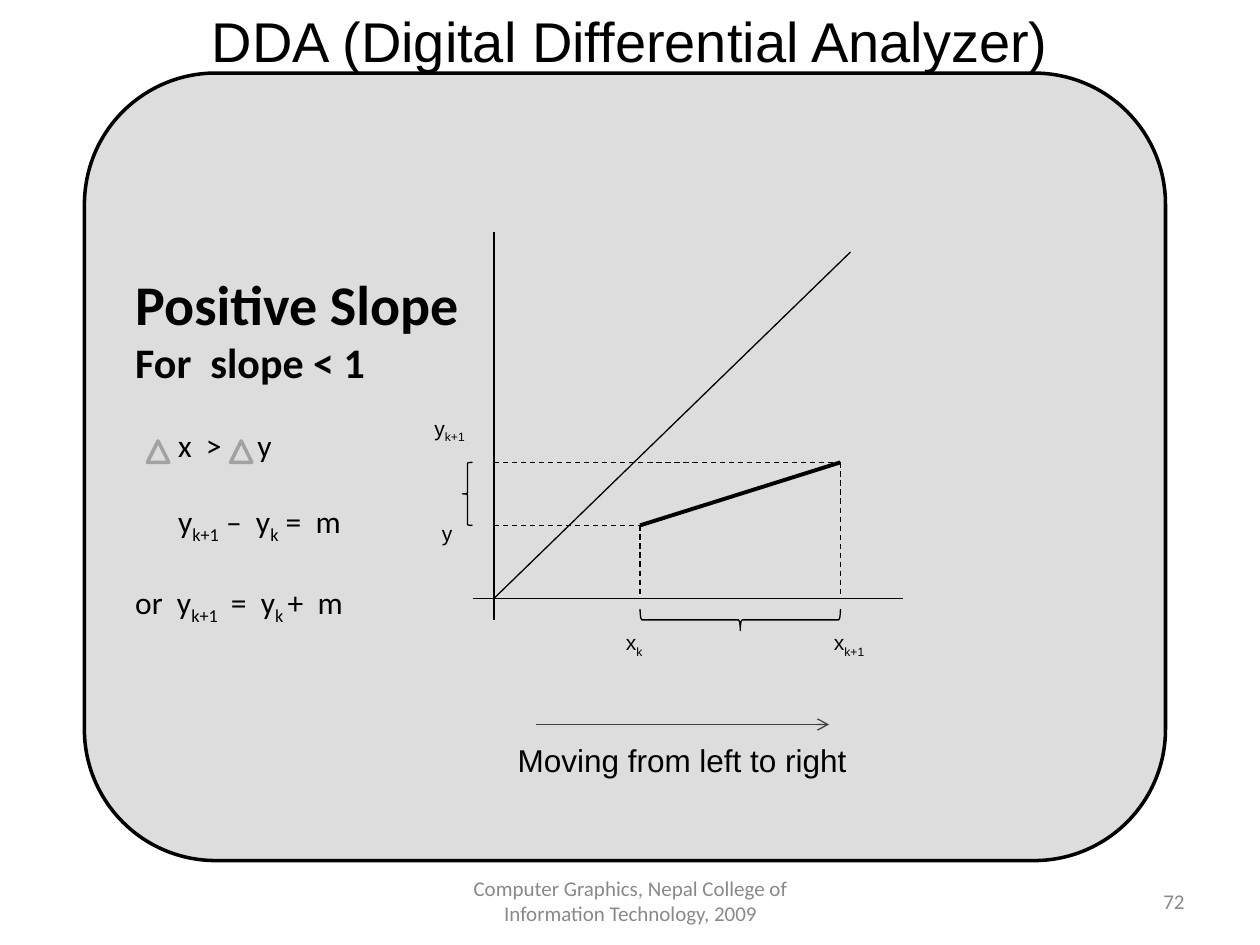
from lxml import etree
from pptx import Presentation
from pptx.dml.color import RGBColor
from pptx.enum import dml, shapes, text
from pptx.oxml import ns
from pptx.util import Inches, Pt

BLACK, PANEL, GREY, FOOTER = "000000", "DDDDDD", "A2A2A2", "898989"
LEFT, CENTER, RIGHT = text.PP_ALIGN.LEFT, text.PP_ALIGN.CENTER, text.PP_ALIGN.RIGHT


def rgb(value):
    return RGBColor.from_string(value)


def inches(*values):
    return [Inches(value) for value in values]


def write(paragraph, parts, size, font="Arial", color=BLACK, bold=False, align=LEFT):
    """Write parts that alternate between baseline and subscript."""
    paragraph.alignment = align
    for index, part in enumerate(parts):
        run = paragraph.add_run()
        run.text = part
        run.font.size, run.font.name, run.font.bold = Pt(size), font, bold
        run.font.color.rgb = rgb(color)
        if index % 2:
            run._r.get_or_add_rPr().set("baseline", "-25000")


def add_tabs(paragraph, stops):
    tabs = etree.SubElement(paragraph._p.get_or_add_pPr(), ns.qn("a:tabLst"))
    for stop in stops:
        etree.SubElement(tabs, ns.qn("a:tab"), pos=str(Inches(stop)), algn="l")


def add_label(slide, box, parts, size, wrap=False, anchor=text.MSO_ANCHOR.TOP, **style):
    frame = slide.shapes.add_textbox(*inches(*box)).text_frame
    frame.word_wrap, frame.vertical_anchor = wrap, anchor
    write(frame.paragraphs[0], parts, size, **style)


def add_shape(slide, kind, box, line, width, fill=None):
    shape = slide.shapes.add_shape(kind, *inches(*box))
    shape.shadow.inherit = False
    shape.line.color.rgb, shape.line.width = rgb(line), Pt(width)
    if fill:
        shape.fill.solid()
        shape.fill.fore_color.rgb = rgb(fill)
    else:
        shape.fill.background()
    return shape


def add_line(slide, start, end, color=BLACK, width=0.75, dashed=False, arrow=False):
    line = slide.shapes.add_connector(
        shapes.MSO_CONNECTOR.STRAIGHT, *inches(*start, *end))
    line.line.color.rgb, line.line.width = rgb(color), Pt(width)
    if dashed:
        line.line.dash_style = dml.MSO_LINE.DASH
    if arrow:
        etree.SubElement(line.line._get_or_add_ln(), ns.qn("a:tailEnd"), type="arrow")
    etree.SubElement(line._element.spPr, ns.qn("a:effectLst"))


def add_title(slide, box):
    title = slide.shapes.title
    title.left, title.top, title.width, title.height = inches(*box)
    frame = title.text_frame
    frame.word_wrap, frame.vertical_anchor = False, text.MSO_ANCHOR.TOP
    frame.auto_size = text.MSO_AUTO_SIZE.NONE
    write(frame.paragraphs[0], ["DDA (Digital Differential Analyzer)"], 32)
    # The title lies over the edge of the panel
    slide.shapes._spTree.append(title._element)


def add_panel(slide, box):
    panel = add_shape(slide, shapes.MSO_SHAPE.ROUNDED_RECTANGLE, box, BLACK, 2, PANEL)
    frame = panel.text_frame
    frame.word_wrap, frame.vertical_anchor = True, text.MSO_ANCHOR.MIDDLE
    frame.margin_bottom = Inches(0.35)
    # Parts, size, bold, space before, tab stops
    rows = [
        (["Positive Slope"], 32, True, 0, []),
        (["For  slope < 1"], 24, True, 0, []),
        (["\tx  >\ty"], 18, False, 22, [0.34, 0.97]),
        (["\ty", "k+1", " –  y", "k", " =  m"], 18, False, 22, [0.34]),
        (["or  y", "k+1", "\t=  y", "k ", "+  m"], 18, False, 22, [0.76]),
    ]
    for index, (parts, size, bold, before, stops) in enumerate(rows):
        paragraph = frame.add_paragraph() if index else frame.paragraphs[0]
        if before:
            paragraph.space_before = Pt(before)
        if stops:
            add_tabs(paragraph, stops)
        write(paragraph, parts, size, "Calibri", bold=bold)
    # Delta signs before x and y
    left, top = box[:2]
    for offset in (0.5, 1.16):
        add_shape(slide, shapes.MSO_SHAPE.ISOSCELES_TRIANGLE,
                  (left + offset, top + 2.92, 0.17, 0.17), GREY, 2, PANEL)


def add_graph(slide, box):
    left, top, width, height = box
    origin_x, origin_y = left + 0.17, top + height - 0.17
    x0, x1 = left + 1.33, left + 2.92
    y0, y1 = top + 2.33, top + 1.83

    # Axes and diagonal
    add_line(slide, (origin_x, top), (origin_x, top + height))
    add_line(slide, (left, origin_y), (left + width, origin_y))
    add_line(slide, (origin_x, origin_y), (left + 3, top + 0.16))

    # Segment with its projections
    add_line(slide, (x0, y0), (x1, y1), width=2.25)
    for x, y in ((x0, y0), (x1, y1)):
        add_line(slide, (x, y), (x, origin_y), dashed=True)
        add_line(slide, (origin_x, y), (x, y), dashed=True)

    # Braces for the two steps
    depth, span = 0.17, x1 - x0
    x_brace = add_shape(slide, shapes.MSO_SHAPE.RIGHT_BRACE,
                        ((x0 + x1 - depth) / 2, origin_y + 0.17 - span / 2, depth, span),
                        BLACK, 0.75)
    x_brace.rotation = 90
    add_shape(slide, shapes.MSO_SHAPE.LEFT_BRACE,
              (left - 0.08, y1, 0.08, y0 - y1), BLACK, 0.75)

    # Coordinate labels
    add_label(slide, (left - 0.4, y1 - 0.42, 0.44, 0.33), ["y", "k+1"], 12)
    add_label(slide, (left - 0.34, y0 - 0.09, 0.3, 0.3), ["y"], 12)
    add_label(slide, (x0 - 0.21, origin_y + 0.2, 0.33, 0.33), ["x", "k"], 12)
    add_label(slide, (x1 - 0.15, origin_y + 0.2, 0.44, 0.33), ["x", "k+1"], 12)


def add_direction(slide, box):
    left, top, width, height = box
    add_line(slide, (left + 0.24, top), (left + 2.57, top), "404040", arrow=True)
    add_label(slide, (left, top + 0.08, width, height - 0.08),
              ["Moving from left to right"], 18)


def add_footer(slide, box):
    left, top, width, height = box
    style = dict(size=12, wrap=True, anchor=text.MSO_ANCHOR.MIDDLE,
                 font="Calibri", color=FOOTER)
    add_label(slide, (left, top, 3.17, height),
              ["Computer Graphics, Nepal College of Information Technology, 2009"],
              align=CENTER, **style)
    add_label(slide, (left + width - 2.33, top, 2.33, height), ["72"],
              align=RIGHT, **style)


def main():
    deck = Presentation()
    deck.slide_width, deck.slide_height = inches(10, 7.5)
    slide = deck.slides.add_slide(deck.slide_layouts[5])
    add_panel(slide, (0.67, 0.58, 8.58, 6.25))
    add_footer(slide, (3.42, 6.95, 6.08, 0.4))
    add_graph(slide, (3.75, 1.84, 3.42, 3.08))
    add_direction(slide, (4.01, 5.75, 2.81, 0.48))
    add_title(slide, (1.58, 0, 6.9, 0.64))
    deck.save("out.pptx")


if __name__ == "__main__":
    main()
